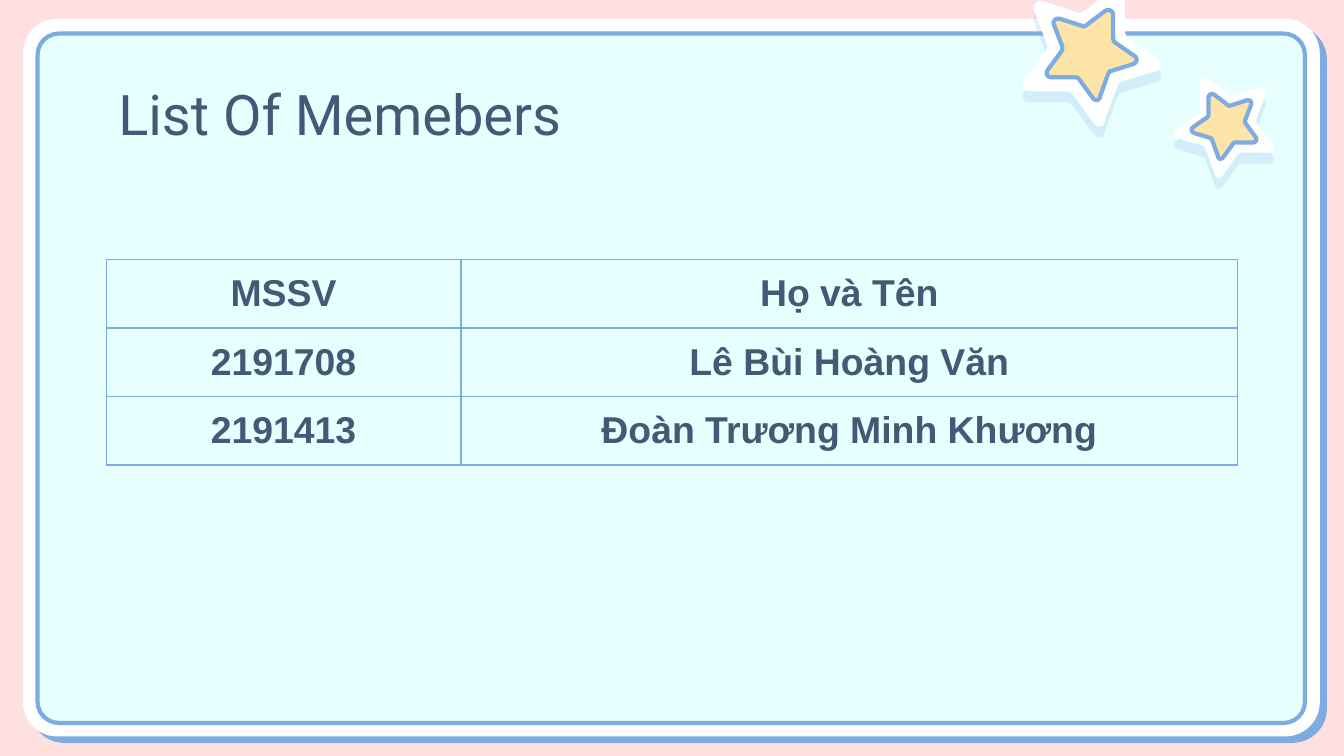
from lxml import etree
from pptx import Presentation
from pptx.dml.color import RGBColor
from pptx.enum.shapes import MSO_SHAPE
from pptx.enum.text import MSO_ANCHOR, PP_ALIGN
from pptx.oxml.ns import qn
from pptx.util import Inches, Pt

ROUNDED = MSO_SHAPE.ROUNDED_RECTANGLE
TOP = MSO_ANCHOR.TOP
LEFT, CENTER = PP_ALIGN.LEFT, PP_ALIGN.CENTER
COLORS = {
    "background": "FFE0E1",
    "white": "FFFFFF",
    "panel": "E7FFFF",
    "blue": "7CACE1",
    "yellow": "FEE4A7",
    "text": "415A75",
}

# Rounded corners of a star as Bezier points, in hundredths of an inch from its centre
STAR_CORNERS = [
    [(21, -47), (20, -47), (18, -47), (16, -46)],
    [(-5, -30), (-7, -28), (-9, -28), (-11, -29)],
    [(-36, -37), (-40, -38), (-44, -35), (-43, -31)],
    [(-33, -5), (-33, -3), (-33, -1), (-34, 0)],
    [(-50, 22), (-52, 25), (-51, 30), (-46, 30)],
    [(-18, 30), (-16, 30), (-15, 31), (-14, 32)],
    [(2, 54), (4, 57), (10, 57), (10, 52)],
    [(19, 27), (20, 25), (20, 24), (22, 23)],
    [(48, 15), (53, 13), (53, 8), (50, 6)],
    [(27, -10), (26, -11), (25, -13), (25, -15)],
    [(25, -42), (25, -44), (23, -46), (21, -47)],
]
CURVE_STEPS = 6


def style(shape, fill, outlined=False, shadow=None):
    """Colour a shape; shadow is (opacity %, distance in points, angle in degrees)."""
    shape.fill.solid()
    shape.fill.fore_color.rgb = RGBColor.from_string(COLORS[fill])
    if outlined:
        shape.line.color.rgb = RGBColor.from_string(COLORS["blue"])
        shape.line.width = Pt(2.25)
    else:
        shape.line.fill.background()
    shape.shadow.inherit = False
    if shadow:
        opacity, distance, angle = shadow
        effects = shape.element.spPr.find(qn("a:effectLst"))
        outer = etree.SubElement(effects, qn("a:outerShdw"), blurRad="0", dist=str(Pt(distance)),
                                 dir=str(angle * 60000), algn="bl", rotWithShape="0")
        color = etree.SubElement(outer, qn("a:srgbClr"), val=COLORS["blue"])
        etree.SubElement(color, qn("a:alpha"), val=str(opacity * 1000))


def add_star(shapes, center_x, center_y, scale_x, scale_y):
    """Draw the star outline; a negative scale_x mirrors it."""
    points = []
    for corner in STAR_CORNERS:
        for step in range(CURVE_STEPS + 1):
            t = step / CURVE_STEPS
            weights = ((1 - t) ** 3, 3 * t * (1 - t) ** 2, 3 * t ** 2 * (1 - t), t ** 3)
            x, y = (sum(w * p[axis] for w, p in zip(weights, corner)) / 100 for axis in (0, 1))
            points.append((Inches(center_x + scale_x * x), Inches(center_y + scale_y * y)))
    builder = shapes.build_freeform(*points[0])
    builder.add_line_segments(points[1:], close=True)
    return builder.convert_to_shape()


prs = Presentation()
prs.slide_width, prs.slide_height = Inches(10), Inches(10 * 9 / 16)
slide = prs.slides.add_slide(prs.slide_layouts[5])
shapes = slide.shapes
slide.background.fill.solid()
slide.background.fill.fore_color.rgb = RGBColor.from_string(COLORS["background"])

# Framed panel
frame = shapes.add_shape(ROUNDED, Inches(0.17), Inches(0.14), Inches(9.65), Inches(5.34))
frame.adjustments[0] = 0.048
style(frame, "white", shadow=(100, 5.2, 42))
panel = shapes.add_shape(ROUNDED, Inches(0.28), Inches(0.25), Inches(9.43), Inches(5.13))
panel.adjustments[0] = 0.031
style(panel, "panel", outlined=True)

# Title, brought in front of the panel
title = shapes.title
panel.element.addnext(title.element)
title.left, title.top, title.width, title.height = map(Inches, (0.78, 0.49, 8.44, 0.63))
title_frame = title.text_frame
title_frame.margin_left = title_frame.margin_right = Inches(0.1)
title_frame.margin_top = title_frame.margin_bottom = Inches(0.1)
title_frame.vertical_anchor = TOP
title_frame.paragraphs[0].alignment = LEFT
heading = title_frame.paragraphs[0].add_run()
heading.text = "List Of Memebers"
heading.font.name = "Roboto"
heading.font.size = Pt(30)
heading.font.color.rgb = RGBColor.from_string(COLORS["text"])

# Stars: a white base with a yellow star on it
for center_x, center_y, scale_x, scale_y in [(8.12, 0.38, 1, 1), (9.11, 0.92, -0.72, 0.72)]:
    base = add_star(shapes, center_x, center_y, scale_x, scale_y)
    style(base, "white", shadow=(19, 6, 90))
    core = add_star(shapes, center_x, center_y, scale_x * 0.65, scale_y * 0.65)
    style(core, "yellow", outlined=True)

# Member table
members = [
    ("MSSV", "Họ và Tên"),
    ("2191708", "Lê Bùi Hoàng Văn"),
    ("2191413", "Đoàn Trương Minh Khương"),
]
column_widths = [2.64, 5.78]
row_height = 0.51
table = shapes.add_table(len(members), len(column_widths), Inches(0.79), Inches(1.93),
                         Inches(sum(column_widths)), Inches(row_height * len(members))).table
table.first_row = table.horz_banding = False
for column, width in zip(table.columns, column_widths):
    column.width = Inches(width)
for row, member in zip(table.rows, members):
    row.height = Inches(row_height)
    for index, (cell, value) in enumerate(zip(row.cells, member)):
        cell.margin_left = cell.margin_right = Inches(0.1)
        cell.margin_top = cell.margin_bottom = Inches(0.1)
        paragraph = cell.text_frame.paragraphs[0]
        paragraph.alignment = CENTER
        if index == 1:
            paragraph.space_after = Pt(16)
        entry = paragraph.add_run()
        entry.text = value
        entry.font.name = "Arial"
        entry.font.size = Pt(20)
        entry.font.bold = True
        entry.font.color.rgb = RGBColor.from_string(COLORS["text"])
        properties = cell._tc.get_or_add_tcPr()
        for side in ("a:lnL", "a:lnR", "a:lnT", "a:lnB"):
            border = etree.SubElement(properties, qn(side), w=str(Pt(0.75)))
            border_fill = etree.SubElement(border, qn("a:solidFill"))
            etree.SubElement(border_fill, qn("a:srgbClr"), val=COLORS["blue"])
        cell.fill.background()

prs.save("out.pptx")
